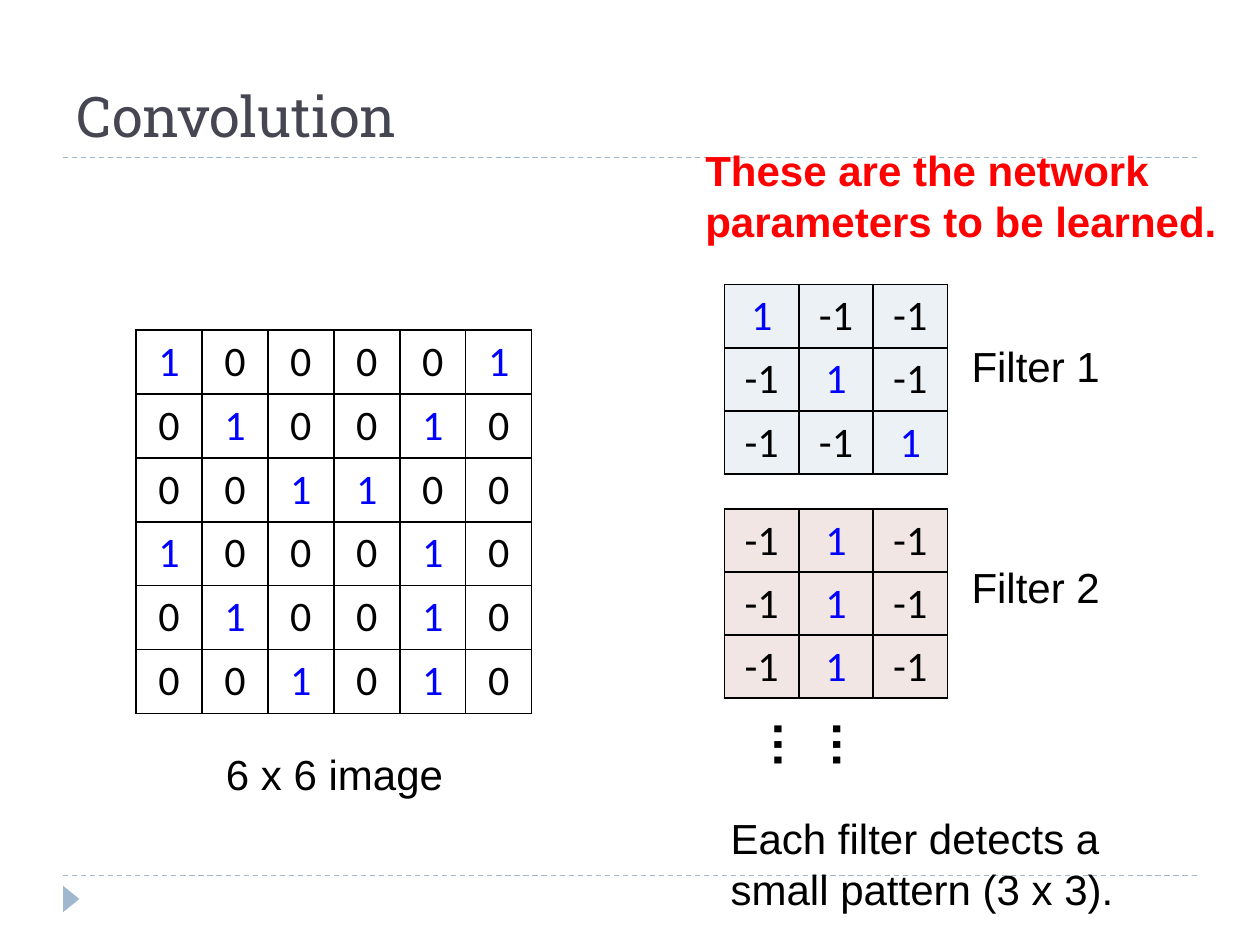
from lxml.etree import SubElement
from pptx import Presentation
from pptx.dml.color import RGBColor as Rgb
from pptx.enum.dml import MSO_LINE_DASH_STYLE as Dash
from pptx.enum.shapes import MSO_CONNECTOR as Connector, MSO_SHAPE as Shape
from pptx.enum.text import MSO_ANCHOR as Anchor, MSO_AUTO_SIZE as AutoSize, PP_ALIGN as Align
from pptx.oxml.ns import qn
from pptx.util import Inches, Pt

COLORS = {
    "title": "464653",
    "accent": "9FB8CD",
    "text": "000000",
    "one": "0000FF",
    "alert": "FF0000",
    "filter 1": "ECF1F5",
    "filter 2": "F1E6E3",
}

IMAGE = [
    [1, 0, 0, 0, 0, 1],
    [0, 1, 0, 0, 1, 0],
    [0, 0, 1, 1, 0, 0],
    [1, 0, 0, 0, 1, 0],
    [0, 1, 0, 0, 1, 0],
    [0, 0, 1, 0, 1, 0],
]
FILTERS = {
    "Filter 1": [[1, -1, -1], [-1, 1, -1], [-1, -1, 1]],
    "Filter 2": [[-1, 1, -1], [-1, 1, -1], [-1, 1, -1]],
}


def color(name):
    return Rgb.from_string(COLORS[name])


def write(frame, text, font="Arial", size=24, ink="text", bold=False, align=Align.LEFT):
    """Put one formatted paragraph into a text frame."""
    paragraph = frame.paragraphs[0]
    paragraph.alignment = align
    run = paragraph.add_run()
    run.text = text
    run.font.name = font
    run.font.size = Pt(size)
    run.font.bold = bold
    run.font.color.rgb = color(ink)


class SlideBuilder:
    """Places elements on a grid of 20 columns and 15 rows."""

    columns, rows = 20, 15

    def __init__(self, deck):
        self.column = deck.slide_width / self.columns
        self.row = deck.slide_height / self.rows
        self.slide = deck.slides.add_slide(deck.slide_layouts[5])
        self.shapes = self.slide.shapes

    def box(self, left, top, width, height):
        return (round(left * self.column), round(top * self.row),
                round(width * self.column), round(height * self.row))

    def title(self, text, *place):
        heading = self.shapes.title
        heading.left, heading.top, heading.width, heading.height = self.box(*place)
        heading.text_frame.vertical_anchor = Anchor.BOTTOM
        write(heading.text_frame, text, font="Roboto Slab", size=32, ink="title")

    def rule(self, row, start, end):
        x1, y, x2, _ = self.box(start, row, end, 0)
        line = self.shapes.add_connector(Connector.STRAIGHT, x1, y, x2, y)
        line.line.color.rgb = color("accent")
        line.line.width = Pt(0.75)
        line.line.dash_style = Dash.DASH
        SubElement(line.element.spPr, qn("a:effectLst"))

    def marker(self, *place):
        triangle = self.shapes.add_shape(Shape.ISOSCELES_TRIANGLE, *self.box(*place))
        triangle.rotation = 90
        triangle.shadow.inherit = False
        triangle.fill.solid()
        triangle.fill.fore_color.rgb = color("accent")
        triangle.line.fill.background()

    def label(self, text, *place, rotation=0, **style):
        area = self.shapes.add_textbox(*self.box(*place))
        area.rotation = rotation
        area.text_frame.word_wrap = True
        area.text_frame.auto_size = AutoSize.SHAPE_TO_FIT_TEXT
        write(area.text_frame, text, **style)

    def matrix(self, values, left, top, width, fill=None):
        size = len(values)
        grid = self.shapes.add_table(size, size, *self.box(left, top, width, size)).table
        grid.first_row = grid.horz_banding = False
        for r, line in enumerate(values):
            for c, value in enumerate(line):
                cell = grid.cell(r, c)
                write(cell.text_frame, str(value), font="Calibri",
                      ink="one" if value == 1 else "text", align=Align.CENTER)
                self.cell_style(cell, fill)

    def cell_style(self, cell, fill):
        if fill:
            cell.fill.solid()
            cell.fill.fore_color.rgb = color(fill)
        else:
            cell.fill.background()
        properties = cell._tc.get_or_add_tcPr()
        for position, side in enumerate(("lnL", "lnR", "lnT", "lnB")):
            border = SubElement(properties, qn(f"a:{side}"), w=str(Pt(1)))
            SubElement(SubElement(border, qn("a:solidFill")), qn("a:srgbClr"),
                       val=COLORS["text"])
            properties.insert(position, border)  # borders come before the fill


def main():
    deck = Presentation()
    deck.slide_width, deck.slide_height = Inches(10), Inches(7.5)
    page = SlideBuilder(deck)

    # Frame of the page
    for row in (13.9, 2.5):
        page.rule(row, 1, 19)
    page.marker(0.92, 14.14, 0.42, 0.26)
    page.title("Convolution", 1.02, 0.8, 17.6, 1.66)

    # Input image
    page.matrix(IMAGE, 2.16, 5.24, 6.28)
    page.label("6 x 6 image", 2.74, 11.78, 5.14, 1, align=Align.CENTER)

    # Filters with their names
    for (name, values), top, name_top in zip(FILTERS.items(), (4.52, 8.08), (5.3, 8.82)):
        page.matrix(values, 11.5, top, 3.54, fill=name.lower())
        page.label(name, 14.86, name_top, 3.16, 1.02, align=Align.CENTER)
    page.label("……", 12.76, 11.44, 1.54, 1.14, rotation=90, size=28, bold=True)

    # Remarks
    page.label("These are the network parameters to be learned.",
               11, 2.2, 8.66, 1.82, ink="alert", bold=True)
    page.label("Each filter detects a small pattern (3 x 3).", 11.4, 12.8, 7.78, 1.82)

    deck.save("out.pptx")


if __name__ == "__main__":
    main()
